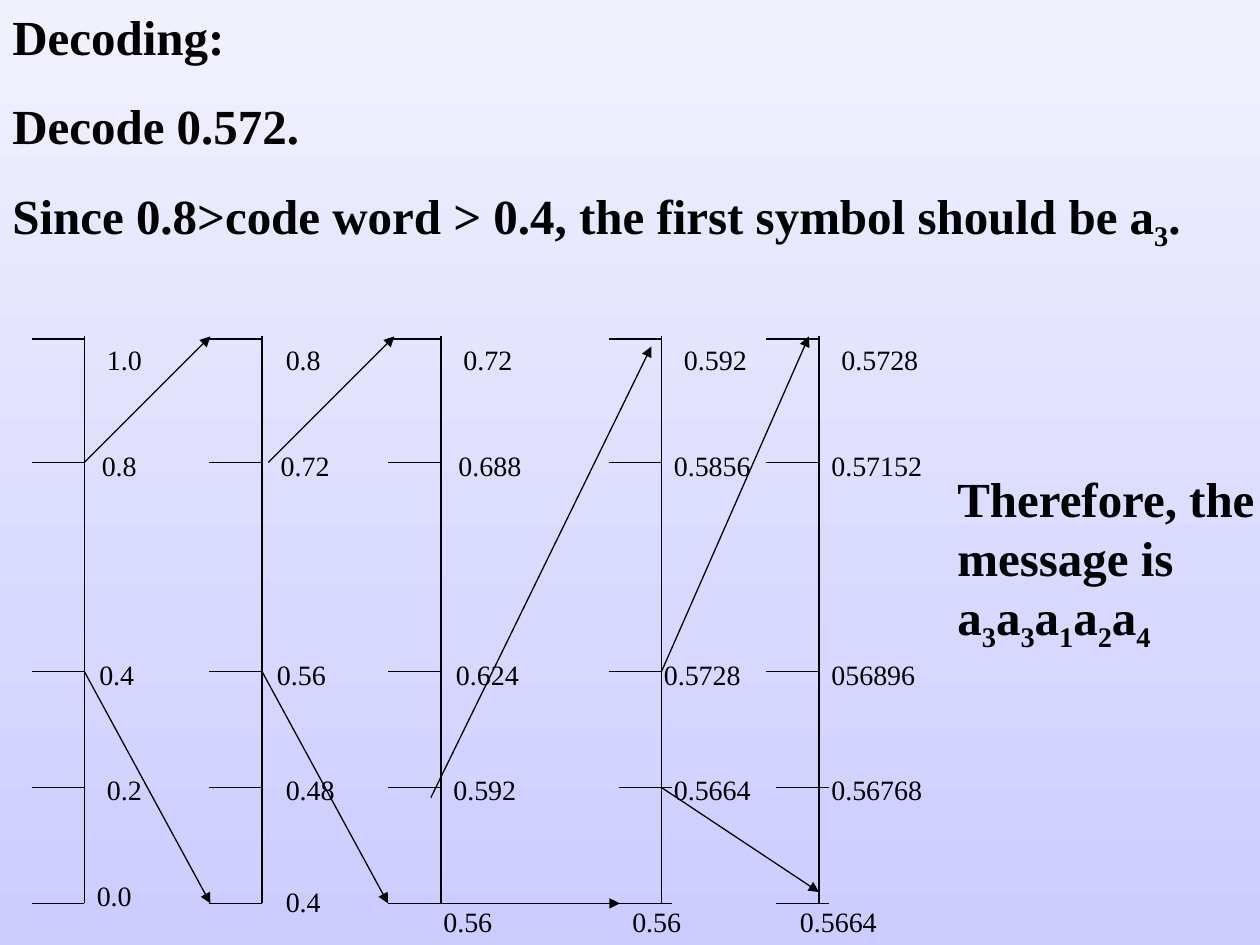
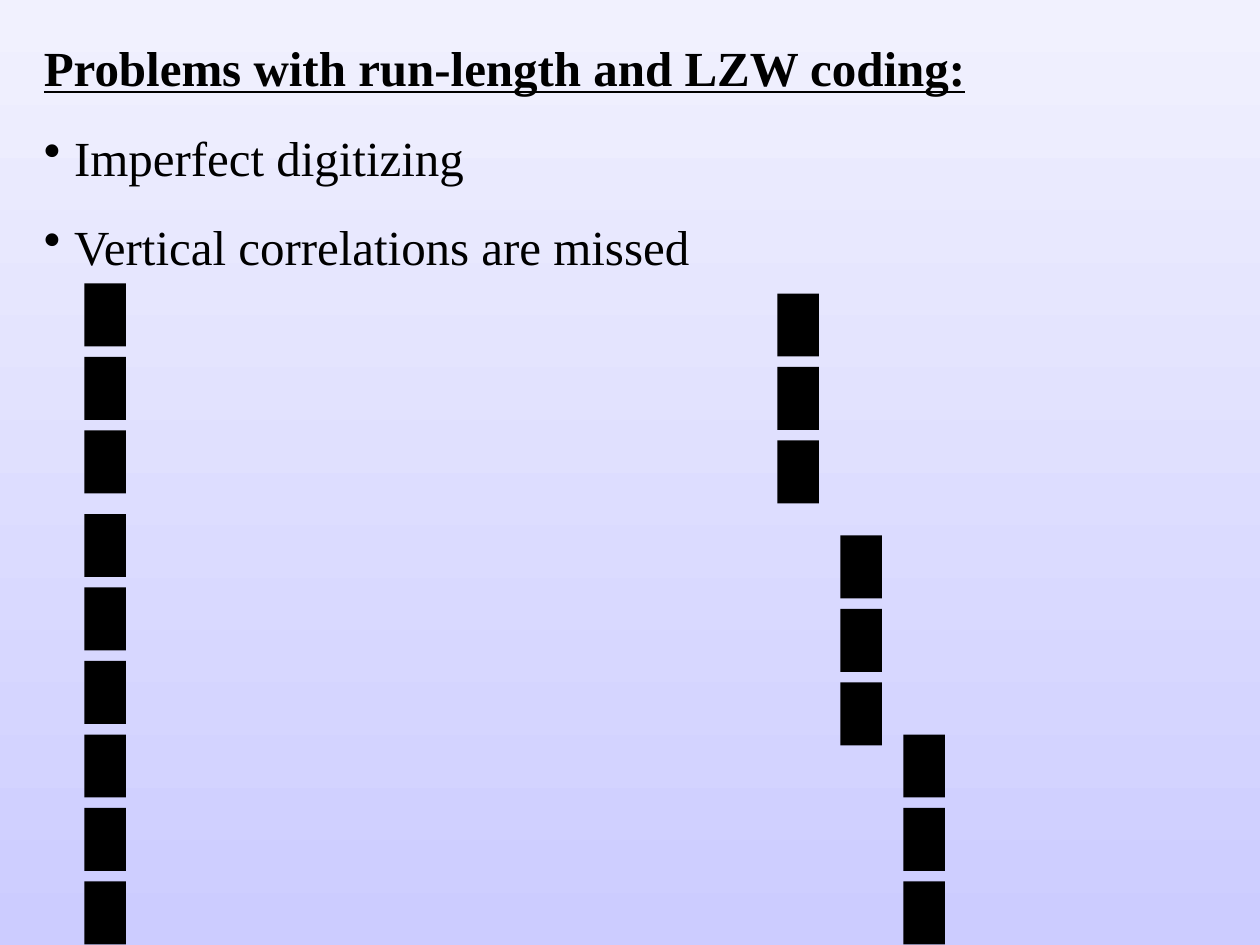
import pptx
import pptx.dml.color
import pptx.enum.shapes
import pptx.enum.text
import pptx.oxml.ns
import pptx.util
from lxml import etree

Inches = pptx.util.Inches
Pt = pptx.util.Pt

INK = pptx.dml.color.RGBColor(0x00, 0x00, 0x00)
SKY_TOP = pptx.dml.color.RGBColor(0xF1, 0xF1, 0xFE)
SKY_BOTTOM = pptx.dml.color.RGBColor(0xCC, 0xCC, 0xFF)
FONT = "Times New Roman"
BODY_SIZE = 28
LABEL_SIZE = 16
BULLET_INDENT = 0.24

SCALE_TOP, SCALE_BOTTOM = 2.67, 7.17
TICK_LEVELS = [2.69, 3.67, 5.33, 6.25, 7.17]
TICK_LENGTH = 0.42
LABEL_TOPS = [2.67, 3.51, 5.17, 6.08]
LABEL_HEIGHT = 0.37

# Each scale: axis x, shift of the two lowest ticks, top of the lowest label,
# and its labels from top to bottom as (value, left, width).
SCALES = [
    (0.67, 0, 6.92, [("1.0", 0.75, 0.67), ("0.8", 0.71, 0.67), ("0.4", 0.69, 0.67),
                     ("0.2", 0.75, 0.67), ("0.0", 0.67, 0.67)]),
    (2.08, 0, 6.97, [("0.8", 2.17, 0.67), ("0.72", 2.13, 0.67), ("0.56", 2.1, 0.67),
                     ("0.48", 2.17, 0.67), ("0.4", 2.17, 0.67)]),
    (3.5, 0, 7.13, [("0.72", 3.58, 0.67), ("0.688", 3.54, 0.96), ("0.624", 3.52, 0.98),
                    ("0.592", 3.5, 1), ("0.56", 3.42, 0.92)]),
    (5.25, 0.08, 7.13, [("0.592", 5.33, 1), ("0.5856", 5.25, 1.33), ("0.5728", 5.17, 0.92),
                        ("0.5664", 5.25, 1), ("0.56", 4.92, 0.67)]),
    (6.5, 0.08, 7.13, [("0.5728", 6.58, 1), ("0.57152", 6.5, 1.33), ("056896", 6.5, 1.42),
                       ("0.56768", 6.5, 1), ("0.5664", 6.25, 1.08)]),
]

ZOOM_ARROWS = [
    (0.67, 3.67, 1.67, 2.67), (0.67, 5.33, 1.67, 7.17),
    (2.13, 3.67, 3.13, 2.67), (2.08, 5.33, 3.08, 7.17),
    (3.42, 6.33, 5.17, 2.75), (3.42, 7.17, 4.92, 7.17),
    (5.25, 5.33, 6.42, 2.67), (5.25, 6.25, 6.5, 7.08),
]

BLOCK_WIDTH, BLOCK_HEIGHT = 0.33, 0.5
BLOCK_PITCH = 0.583
STRAIGHT_STROKE = [(0.67, 2.25), (0.67, 4.08), (0.67, 5.83)]
BROKEN_STROKE = [(6.17, 2.33), (6.67, 4.25), (7.17, 5.83)]


def add_slide(deck):
    slide = deck.slides.add_slide(deck.slide_layouts[6])
    sky = slide.background.fill
    sky.gradient()
    sky.gradient_angle = 270
    for stop, colour in zip(sky.gradient_stops, (SKY_TOP, SKY_BOTTOM)):
        stop.color.rgb = colour
    return slide


def add_text(slide, left, top, width, height, size):
    box = slide.shapes.add_textbox(Inches(left), Inches(top), Inches(width), Inches(height))
    frame = box.text_frame
    frame.word_wrap = True
    frame.auto_size = pptx.enum.text.MSO_AUTO_SIZE.NONE

    def write(runs, bold=False, underline=False, bullet=False, first=False):
        paragraph = frame.paragraphs[0] if first else frame.add_paragraph()
        if not first:
            paragraph.space_before = Pt(17.5)
        if bullet:
            add_bullet(paragraph)
        for text, is_subscript in runs:
            run = paragraph.add_run()
            run.text = text
            font = run.font
            font.name, font.size = FONT, Pt(size)
            font.bold, font.underline = bold, underline
            font.color.rgb = INK
            if is_subscript:
                run._r.get_or_add_rPr().set("baseline", "-25000")

    return write


def add_bullet(paragraph):
    properties = paragraph._p.get_or_add_pPr()
    properties.set("marL", str(Inches(BULLET_INDENT)))
    properties.set("indent", str(-Inches(BULLET_INDENT)))
    mark = etree.SubElement(properties, pptx.oxml.ns.qn("a:buChar"))
    mark.set("char", "•")


def add_line(slide, x1, y1, x2, y2, arrow=False):
    line = slide.shapes.add_connector(
        pptx.enum.shapes.MSO_CONNECTOR.STRAIGHT,
        Inches(x1), Inches(y1), Inches(x2), Inches(y2))
    line.line.color.rgb = INK
    line.line.width = Pt(0.75)
    if arrow:
        head = etree.SubElement(line.line._get_or_add_ln(), pptx.oxml.ns.qn("a:tailEnd"))
        head.set("type", "triangle")
    etree.SubElement(line._element.spPr, pptx.oxml.ns.qn("a:effectLst"))


def add_scale(slide, axis, low_shift, lowest_label_top, labels):
    add_line(slide, axis, SCALE_TOP, axis, SCALE_BOTTOM)
    for index, level in enumerate(TICK_LEVELS):
        tick_end = axis + (low_shift if index >= 3 else 0)
        add_line(slide, tick_end - TICK_LENGTH, level, tick_end, level)
    for top, (value, left, width) in zip(LABEL_TOPS + [lowest_label_top], labels):
        write = add_text(slide, left, top, width, LABEL_HEIGHT, LABEL_SIZE)
        write([(value, False)], first=True)


def add_stroke(slide, segments):
    stroke = slide.shapes.add_group_shape()
    for left, top in segments:
        for step in range(3):
            block = stroke.shapes.add_shape(
                pptx.enum.shapes.MSO_SHAPE.RECTANGLE,
                Inches(left), Inches(top + step * BLOCK_PITCH),
                Inches(BLOCK_WIDTH), Inches(BLOCK_HEIGHT))
            block.shadow.inherit = False
            block.fill.solid()
            block.fill.fore_color.rgb = INK
            block.line.fill.background()


def build_decoding(deck):
    slide = add_slide(deck)
    for scale in SCALES:
        add_scale(slide, *scale)
    for arrow in ZOOM_ARROWS:
        add_line(slide, *arrow, arrow=True)

    message = [("Therefore, the message is ", False)]
    for symbol in "33124":
        message += [("a", False), (symbol, True)]
    write = add_text(slide, 7.5, 3.67, 3.25, 1.57, BODY_SIZE)
    write(message, bold=True, first=True)

    write = add_text(slide, 0, 0, 10, 2.76, BODY_SIZE)
    write([("Decoding:", False)], bold=True, first=True)
    write([("Decode 0.572.", False)], bold=True)
    write([("Since 0.8>code word > 0.4, the first symbol should be a", False),
           ("3", True), (".", False)], bold=True)


def build_problems(deck):
    slide = add_slide(deck)
    write = add_text(slide, 0.25, 0.25, 9.33, 1.99, BODY_SIZE)
    write([("Problems with run-length and LZW coding:", False)],
          bold=True, underline=True, first=True)
    for problem in ("Imperfect digitizing", "Vertical correlations are missed"):
        write([(problem, False)], bullet=True)
    for segments in (STRAIGHT_STROKE, BROKEN_STROKE):
        add_stroke(slide, segments)


def main():
    deck = pptx.Presentation()
    deck.slide_width, deck.slide_height = Inches(10), Inches(7.5)
    build_decoding(deck)
    build_problems(deck)
    deck.save("out.pptx")


if __name__ == "__main__":
    main()
